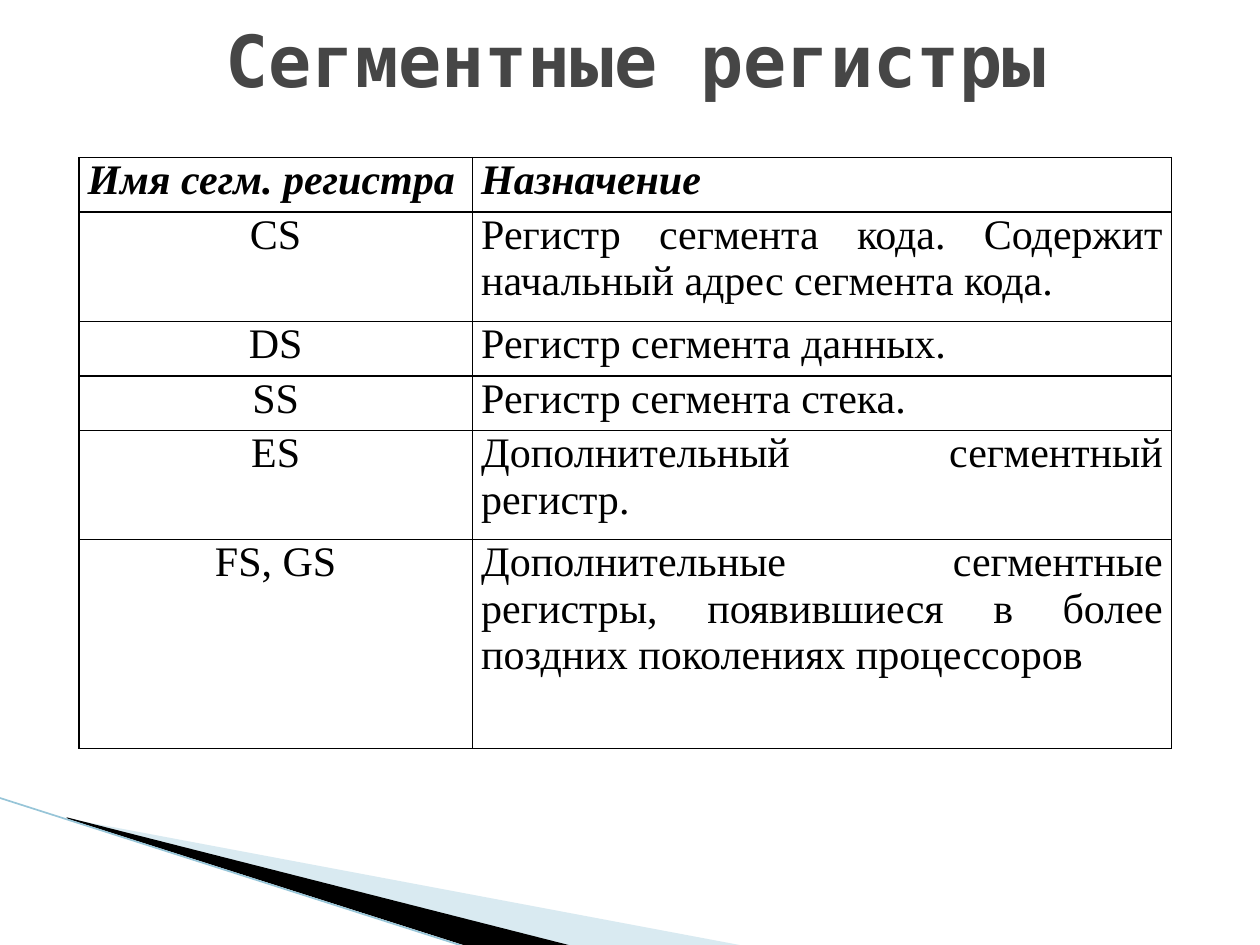
from dataclasses import dataclass

from lxml import etree
from pptx import Presentation
from pptx import util as u
from pptx.dml.color import RGBColor
from pptx.enum import shapes, text
from pptx.oxml.ns import qn


@dataclass(frozen=True)
class Theme:
    title_font: str = "DejaVu Sans Mono"
    body_font: str = "Times New Roman"
    title_size: float = 41
    body_size: float = 24
    title_color: str = "464646"
    ink: str = "000000"
    pale: str = "A0CBDC"
    edge: str = "97C5D8"
    edge_width: float = 0.95
    border_width: float = 1


class SlideBuilder:
    def __init__(self, deck, theme):
        self.theme = theme
        self.slide = deck.slides.add_slide(deck.slide_layouts[5])

    def set_font(self, para, name, size, color, bold=False, italic=False):
        font = para.font
        font.name, font.size = name, u.Pt(size)
        font.bold, font.italic = bold, italic
        font.color.rgb = RGBColor.from_string(color)

    def title(self, words, left, top, width, height):
        box = self.slide.shapes.title
        box.left, box.top = u.Pt(left), u.Pt(top)
        box.width, box.height = u.Pt(width), u.Pt(height)
        box.text_frame.text = words
        box.text_frame.vertical_anchor = text.MSO_ANCHOR.MIDDLE
        para = box.text_frame.paragraphs[0]
        para.alignment = text.PP_ALIGN.CENTER
        self.set_font(para, self.theme.title_font, self.theme.title_size,
                      self.theme.title_color, bold=True)

    def wedge(self, points, color, opacity=100):
        builder = self.slide.shapes.build_freeform(*points[0], scale=u.Pt(1))
        builder.add_line_segments(points[1:], close=True)
        shape = builder.convert_to_shape()
        shape.shadow.inherit = False
        shape.fill.solid()
        shape.fill.fore_color.rgb = RGBColor.from_string(color)
        shape.line.fill.background()
        if opacity < 100:
            tint = shape.fill._xPr.find(".//" + qn("a:srgbClr"))
            etree.SubElement(tint, qn("a:alpha"), val=str(opacity * 1000))

    def line(self, start, end, color, width):
        ends = [u.Pt(value) for value in (*start, *end)]
        line = self.slide.shapes.add_connector(shapes.MSO_CONNECTOR.STRAIGHT, *ends)
        line.line.color.rgb = RGBColor.from_string(color)
        line.line.width = u.Pt(width)
        etree.SubElement(line._element.spPr, qn("a:effectLst"))

    def borders(self, cell):
        properties = cell._tc.get_or_add_tcPr()
        for side in ("lnL", "lnR", "lnT", "lnB"):
            border = etree.SubElement(properties, qn("a:" + side),
                                      w=str(u.Pt(self.theme.border_width)))
            fill = etree.SubElement(border, qn("a:solidFill"))
            etree.SubElement(fill, qn("a:srgbClr"), val=self.theme.ink)

    def cell(self, cell, words, alignment, header):
        self.borders(cell)
        cell.fill.background()
        cell.margin_left = cell.margin_right = u.Pt(5)
        cell.margin_top = cell.margin_bottom = 0
        cell.text = words
        para = cell.text_frame.paragraphs[0]
        para.alignment = alignment
        self.set_font(para, self.theme.body_font, self.theme.body_size,
                      self.theme.ink, bold=header, italic=header)

    def table(self, rows, left, top, widths, heights):
        frame = self.slide.shapes.add_table(
            len(rows), len(widths), u.Pt(left), u.Pt(top),
            u.Pt(sum(widths)), u.Pt(sum(heights)))
        table = frame.table
        table.first_row = table.horz_banding = False
        for column, width in zip(table.columns, widths):
            column.width = u.Pt(width)
        for row, height in zip(table.rows, heights):
            row.height = u.Pt(height)
        for r, row in enumerate(rows):
            for c, words in enumerate(row):
                centred = r > 0 and c == 0
                alignment = text.PP_ALIGN.CENTER if centred else text.PP_ALIGN.JUSTIFY
                self.cell(table.cell(r, c), words, alignment, header=r == 0)


REGISTERS = [
    ("Имя сегм. регистра", "Назначение"),
    ("CS", "Регистр сегмента кода. Содержит начальный адрес сегмента кода."),
    ("DS", "Регистр сегмента данных."),
    ("SS", "Регистр сегмента стека."),
    ("ES", "Дополнительный сегментный регистр."),
    ("FS, GS", "Дополнительные сегментные регистры, появившиеся в более "
               "поздних поколениях процессоров"),
]


def main():
    deck = Presentation()
    deck.slide_width, deck.slide_height = u.Pt(720), u.Pt(540)
    theme = Theme()
    page = SlideBuilder(deck, theme)

    # Corner decoration
    page.wedge([(39.6, 468.5), (428.4, 540.7), (328.3, 540.7), (39.6, 468)],
               theme.pale, opacity=40)
    page.wedge([(38.2, 467.3), (329, 540.7), (267.8, 541.4), (38.9, 468)], theme.ink)
    page.line((-0.7, 455.8), (267.1, 541.4), theme.edge, theme.edge_width)

    # Heading
    page.title("Сегментные регистры", 39.6, 0, 648, 67.7)

    # Segment registers
    single = 31.2
    page.table(REGISTERS, 45, 90, widths=(225, 399.5),
               heights=(single, 2 * single, single, single, 2 * single, 119.5))

    deck.save("out.pptx")


if __name__ == "__main__":
    main()
